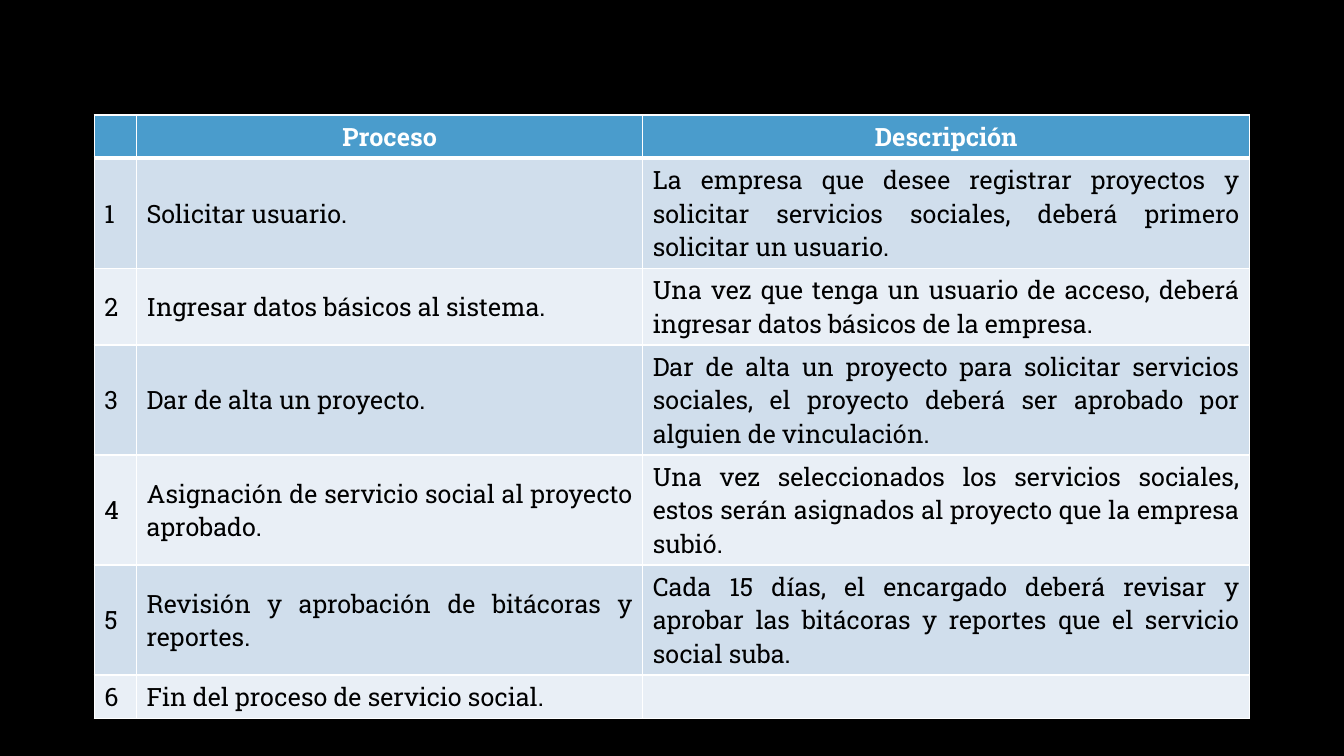
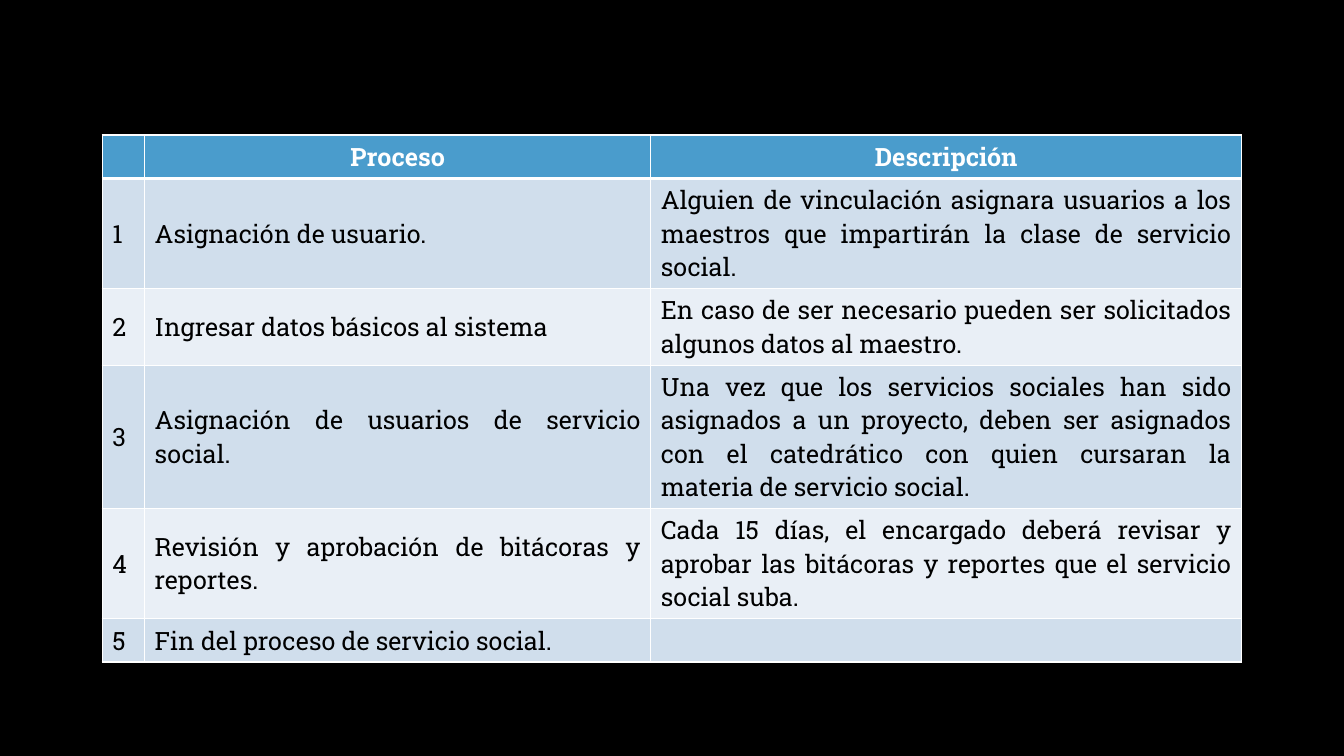
from lxml.etree import SubElement
from pptx import Presentation
from pptx.dml.color import RGBColor
from pptx.enum.text import MSO_ANCHOR, PP_ALIGN
from pptx.oxml.ns import qn
from pptx.util import Inches, Pt

BLACK = RGBColor(0x00, 0x00, 0x00)
WHITE = RGBColor(0xFF, 0xFF, 0xFF)
HEADER_BLUE = RGBColor(0x4A, 0x9C, 0xCC)
BAND_COLORS = (RGBColor(0xD0, 0xDE, 0xEC), RGBColor(0xE9, 0xEF, 0xF6))
FONT = "Roboto Slab"
FONT_SIZE = 18
SLIDE_WIDTH, SLIDE_HEIGHT = 13.33, 7.5
ROW_HEIGHT = 0.41
NUMBER_WIDTH, PROCESS_WIDTH = 0.42, 5.02
THIN, THICK = 1, 3

HEADER = ("", "Proceso", "Descripción")
REVIEW = (
    "Revisión y aprobación de bitácoras y reportes.",
    "Cada 15 días, el encargado deberá revisar y aprobar las bitácoras y reportes que el servicio social suba.",
)
END = ("Fin del proceso de servicio social.", "")

COMPANY_STEPS = [
    ("Solicitar usuario.",
     "La empresa que desee registrar proyectos y solicitar servicios sociales, deberá primero solicitar un usuario."),
    ("Ingresar datos básicos al sistema.",
     "Una vez que tenga un usuario de acceso, deberá ingresar datos básicos de la empresa."),
    ("Dar de alta un proyecto.",
     "Dar de alta un proyecto para solicitar servicios sociales, el proyecto deberá ser aprobado por alguien de vinculación."),
    ("Asignación de servicio social al proyecto aprobado.",
     "Una vez seleccionados los servicios sociales, estos serán asignados al proyecto que la empresa subió."),
    REVIEW,
    END,
]
TEACHER_STEPS = [
    ("Asignación de usuario.",
     "Alguien de vinculación asignara usuarios a los maestros que impartirán la clase de servicio social."),
    ("Ingresar datos básicos al sistema",
     "En caso de ser necesario pueden ser solicitados algunos datos al maestro."),
    ("Asignación de usuarios de servicio social.",
     "Una vez que los servicios sociales han sido asignados a un proyecto, deben ser asignados con el catedrático con quien cursaran la materia de servicio social."),
    REVIEW,
    END,
]
SLIDES = [
    {"steps": COMPANY_STEPS, "top": 1.14, "description_width": 6.02},
    {"steps": TEACHER_STEPS, "top": 1.34, "description_width": 5.86},
]


def set_borders(cell, top, bottom):
    properties = cell._tc.get_or_add_tcPr()
    widths = (("a:lnL", THIN), ("a:lnR", THIN), ("a:lnT", top), ("a:lnB", bottom))
    for position, (tag, width) in enumerate(widths):
        line = SubElement(properties, qn(tag), w=str(Pt(width)))
        fill = SubElement(line, qn("a:solidFill"))
        SubElement(fill, qn("a:srgbClr"), val=str(WHITE))
        properties.insert(position, line)


def write_cell(cell, text, alignment, color, bold):
    cell.vertical_anchor = MSO_ANCHOR.MIDDLE
    paragraph = cell.text_frame.paragraphs[0]
    paragraph.alignment = alignment
    if text:
        run = paragraph.add_run()
        run.text = text
        run.font.name = FONT
        run.font.size = Pt(FONT_SIZE)
        run.font.bold = bold
        run.font.color.rgb = color


def add_process_table(slide, steps, top, description_width):
    rows = [HEADER] + [(str(number), *step) for number, step in enumerate(steps, 1)]
    widths = (NUMBER_WIDTH, PROCESS_WIDTH, description_width)
    left = (SLIDE_WIDTH - sum(widths)) / 2
    table = slide.shapes.add_table(
        len(rows), len(widths), Inches(left), Inches(top),
        Inches(sum(widths)), Inches(ROW_HEIGHT * len(rows))).table
    for column, width in zip(table.columns, widths):
        column.width = Inches(width)
    for row_index, texts in enumerate(rows):
        table.rows[row_index].height = Inches(ROW_HEIGHT)
        is_header = row_index == 0
        for column_index, text in enumerate(texts):
            cell = table.cell(row_index, column_index)
            cell.fill.solid()
            cell.fill.fore_color.rgb = HEADER_BLUE if is_header else BAND_COLORS[(row_index - 1) % 2]
            set_borders(cell, THICK if row_index == 1 else THIN, THICK if is_header else THIN)
            if is_header:
                alignment = PP_ALIGN.CENTER
            else:
                alignment = PP_ALIGN.JUSTIFY if column_index else PP_ALIGN.LEFT
            write_cell(cell, text, alignment, WHITE if is_header else BLACK, is_header)


def main():
    presentation = Presentation()
    presentation.slide_width = Inches(SLIDE_WIDTH)
    presentation.slide_height = Inches(SLIDE_HEIGHT)
    background = presentation.slide_master.background.fill
    background.solid()
    background.fore_color.rgb = BLACK
    blank_layout = presentation.slide_layouts.get_by_name("Blank")
    for content in SLIDES:
        add_process_table(presentation.slides.add_slide(blank_layout), **content)
    presentation.save("out.pptx")


if __name__ == "__main__":
    main()
